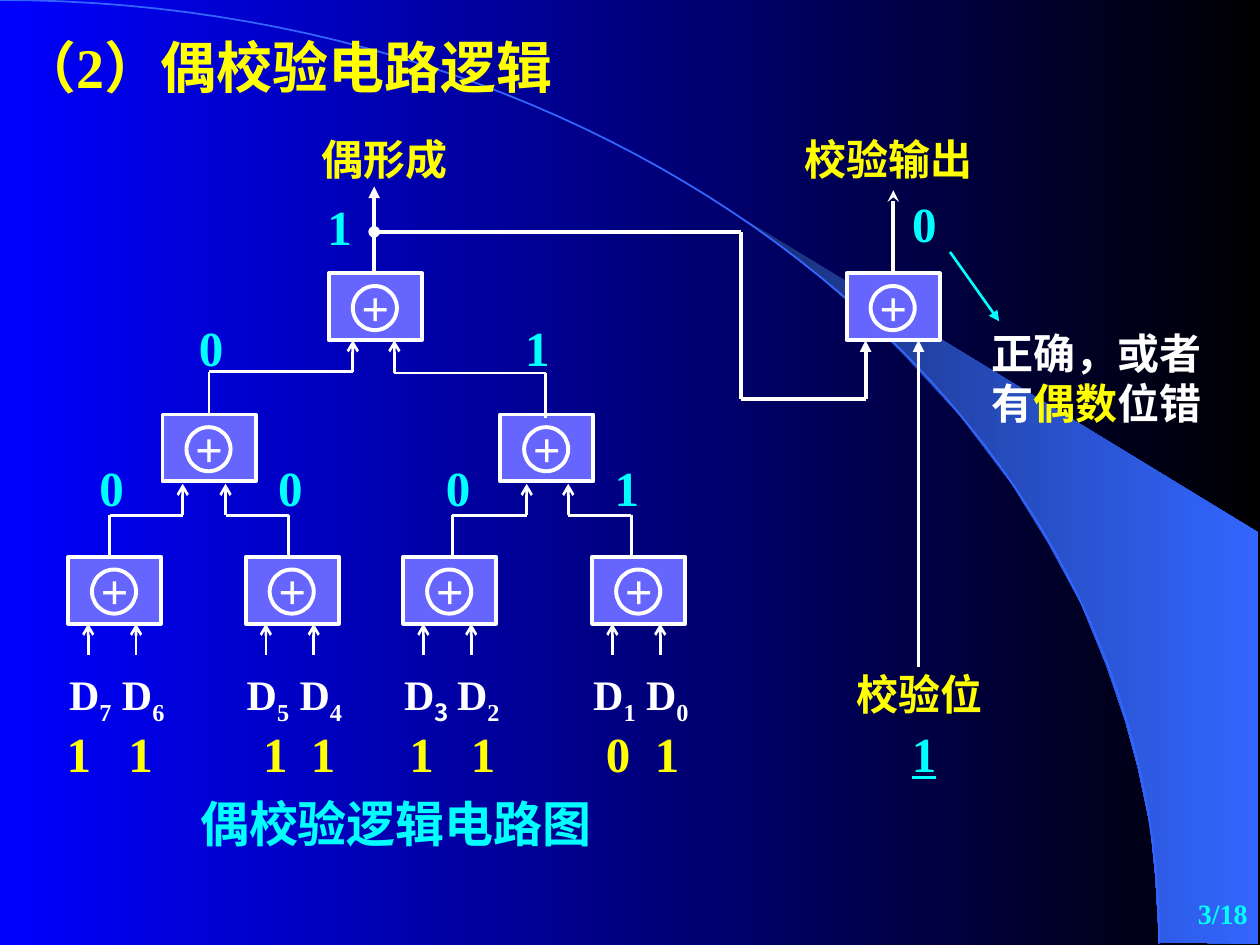
"""Builds the slide on even parity check logic."""
from itertools import pairwise

from lxml import etree
from pptx import Presentation, util as u
from pptx.dml import color as dml
from pptx.enum import shapes as kinds, text as txt
from pptx.oxml import ns

HUES = {
    "blue": "0000FF", "black": "000000", "white": "FFFFFF",
    "yellow": "FFFF00", "cyan": "00FFFF", "gate": "6666FF",
    "arc": "3366FF", "navy": "182F76",
}
LATIN, HAN = "Times New Roman", "Noto Sans CJK SC"


def hue(name):
    return dml.RGBColor.from_string(HUES[name])


def blend(fill, *names):
    fill.gradient()
    fill.gradient_angle = 0
    for stop, name in zip(fill.gradient_stops, names):
        stop.color.rgb = hue(name)


def write(par, words, size=24, color="white", face=LATIN, sub=False, under=None):
    run = par.add_run()
    run.text = words
    font = run.font
    font.name, font.size, font.bold = face, u.Pt(size), True
    font.color.rgb, font.underline = hue(color), under
    props = run._r.get_or_add_rPr()
    if sub:
        props.set("baseline", "-25000")
    etree.SubElement(props, ns.qn("a:ea"), typeface=HAN)


class Board:
    def __init__(self, deck):
        self.slide = deck.slides.add_slide(deck.slide_layouts[5])
        self.shapes = self.slide.shapes
        blend(self.slide.background.fill, "blue", "black")

    def place(self, shape, x, y, w, h):
        shape.left, shape.top = u.Inches(x), u.Inches(y)
        shape.width, shape.height = u.Inches(w), u.Inches(h)

    def title(self, x, y, w, h, *runs, **style):
        shape = self.shapes.title
        self.place(shape, x, y, w, h)
        shape.element.getparent().append(shape.element)
        return self.fill(shape, runs, **style)

    def label(self, x, y, w, h, *runs, **style):
        box = self.shapes.add_textbox(*map(u.Inches, (x, y, w, h)))
        return self.fill(box, runs, **style)

    def fill(self, shape, runs, wrap=True, align="LEFT", anchor="TOP", tabs=(), **base):
        frame = shape.text_frame
        frame.word_wrap, frame.auto_size = wrap, txt.MSO_AUTO_SIZE.NONE
        frame.vertical_anchor = txt.MSO_ANCHOR[anchor]
        par = frame.paragraphs[0]
        par.alignment = txt.PP_ALIGN[align]
        if tabs:
            stops = etree.SubElement(par._p.get_or_add_pPr(), ns.qn("a:tabLst"))
            for stop in tabs:
                etree.SubElement(stops, ns.qn("a:tab"), pos=str(u.Inches(stop)), algn="l")
        for words, form in runs:
            write(par, words, **{**base, **form})
        return shape

    def form(self, kind, x, y, w, h, color=None):
        shape = self.shapes.add_shape(kind, *map(u.Inches, (x, y, w, h)))
        shape.shadow.inherit = False
        if color:
            shape.fill.solid()
            shape.fill.fore_color.rgb = hue(color)
        else:
            shape.fill.background()
        shape.line.color.rgb, shape.line.width = hue("white"), u.Pt(2.25)
        return shape

    def gate(self, x, y):
        box = self.form(kinds.MSO_SHAPE.RECTANGLE, x, y, 0.74, 0.53, "gate")
        self.fill(box, [("+", {})], wrap=False, align="CENTER", anchor="MIDDLE", size=28)
        self.form(kinds.MSO_SHAPE.OVAL, x + 0.19, y + 0.1, 0.35, 0.35)

    def wire(self, *points, width=1.5, color="white", head=None, tail=None):
        legs = list(pairwise(points))
        for i, (start, end) in enumerate(legs):
            line = self.shapes.add_connector(
                kinds.MSO_CONNECTOR.STRAIGHT, *map(u.Inches, (*start, *end)))
            line.line.color.rgb, line.line.width = hue(color), u.Pt(width)
            props = line.element.spPr
            stroke = props.find(ns.qn("a:ln"))
            if head and i == 0:
                etree.SubElement(stroke, ns.qn("a:headEnd"), type=head)
            if tail and i == len(legs) - 1:
                etree.SubElement(stroke, ns.qn("a:tailEnd"), type=tail)
            etree.SubElement(props, ns.qn("a:effectLst"))

    def outline(self, points, close):
        first, *rest = [(u.Inches(x), u.Inches(y)) for x, y in points]
        pen = self.shapes.build_freeform(*first)
        pen.add_line_segments(rest, close=close)
        shape = pen.convert_to_shape()
        shape.shadow.inherit = False
        return shape

    def decor(self):
        wedge = self.outline([
            (9.2, 7.48), (9.99, 7.49), (9.99, 4.23), (5.89, 1.73), (6.24, 1.99),
            (6.53, 2.22), (6.85, 2.5), (7.16, 2.8), (7.62, 3.3), (8.03, 3.84),
            (8.32, 4.31), (8.58, 4.79), (8.78, 5.28), (8.93, 5.72), (9.03, 6.09),
            (9.13, 6.56), (9.17, 6.96)], True)
        blend(wedge.fill, "navy", "arc")
        wedge.line.fill.background()
        steps = [i / 60 for i in range(61)]
        arc = self.outline([
            (3 * 5.08 * t * (1 - t) ** 2 + 3 * 9.2 * t * t * (1 - t) + 9.2 * t ** 3,
             3 * 3.35 * t * t * (1 - t) + 7.49 * t ** 3) for t in steps], False)
        arc.fill.background()
        arc.line.color.rgb, arc.line.width = hue("arc"), u.Pt(1)


def main():
    deck = Presentation()
    deck.slide_width, deck.slide_height = u.Inches(10), u.Inches(7.5)
    board = Board(deck)
    board.decor()
    han = {"face": HAN}
    board.title(0.06, 0.21, 5.33, 0.64, ("（2）偶", {}), ("校验电路逻辑", han),
                size=32, color="yellow")

    for x, y in [(1.29, 3.29), (3.97, 3.29), (2.61, 2.17), (6.72, 2.17)]:
        board.gate(x, y)
    for i, x in enumerate([0.54, 1.95, 3.2, 4.7]):
        board.gate(x, 4.42)
        for j, (pin, shift, w) in enumerate([(0.16, -0.09, 0.58), (0.54, 0.33, 0.67)]):
            board.wire((x + pin, 4.95), (x + pin, 5.2), head="arrow")
            bit = 7 - 2 * i - j
            face = HAN if bit == 3 else LATIN
            board.label(x + shift, 5.26, w, 0.56, ("D", {}),
                        (str(bit), {"sub": True, "face": face}))

    for pin, out, top, bus, base in [
            (1.45, 0.87, 3.84, 4.09, 4.42), (1.79, 2.29, 3.84, 4.09, 4.42),
            (4.18, 3.59, 3.84, 4.09, 4.42), (4.51, 5.01, 3.84, 4.09, 4.42),
            (2.8, 1.66, 2.7, 2.95, 3.29), (3.13, 4.33, 2.7, 2.96, 3.32)]:
        board.wire((pin, top), (pin, bus), (out, bus), (out, base), head="arrow")

    board.wire((2.97, 2.15), (2.97, 1.48), width=2.25, tail="triangle")
    board.wire((7.29, 2.7), (7.29, 5.29), width=2.25, head="triangle")
    board.wire((6.87, 2.7), (6.87, 3.17), (5.88, 3.17), (5.88, 1.84), (2.97, 1.84),
               width=2.25, head="triangle", tail="oval")
    board.wire((7.09, 2.17), (7.09, 1.51), width=2.25, tail="stealth")

    for x, y, w, words in [(2.45, 1.01, 1.25, "偶形成"), (6.29, 1.01, 1.58, "校验输出"),
                           (6.7, 5.26, 1.25, "校验位")]:
        board.label(x, y, w, 0.5, (words, {}), color="yellow")
    board.label(1.49, 6.25, 3.3, 0.57, ("偶", {}), ("校验逻辑电路图", han),
                wrap=False, size=28, color="cyan")
    board.label(0.43, 5.69, 7.5, 0.57, ("\t".join("11111101") + "\t", {}),
                ("1", {"color": "cyan", "under": True}), size=28, color="yellow",
                tabs=[0.49, 1.56, 1.94, 2.72, 3.21, 4.28, 4.67, 6.71])
    for x, y, bit in [(2.5, 1.51, "1"), (7.14, 1.49, "0"), (0.69, 3.58, "0"),
                      (2.11, 3.58, "0"), (3.44, 3.58, "0"), (4.78, 3.58, "1"),
                      (4.07, 2.47, "1"), (1.48, 2.47, "0")]:
        board.label(x, y, 0.55, 0.57, (bit, {}), size=28, color="cyan")
    board.label(7.77, 2.55, 1.93, 0.9, ("正确，或者有", {}),
                ("偶数", {"color": "yellow"}), ("位错", {}))
    board.wire((7.54, 2), (7.93, 2.55), color="cyan", tail="triangle")
    board.label(8.78, 7, 1.22, 0.5, ("3/18", {}), size=16, color="cyan",
                align="RIGHT", anchor="MIDDLE")
    deck.save("out.pptx")


if __name__ == "__main__":
    main()
